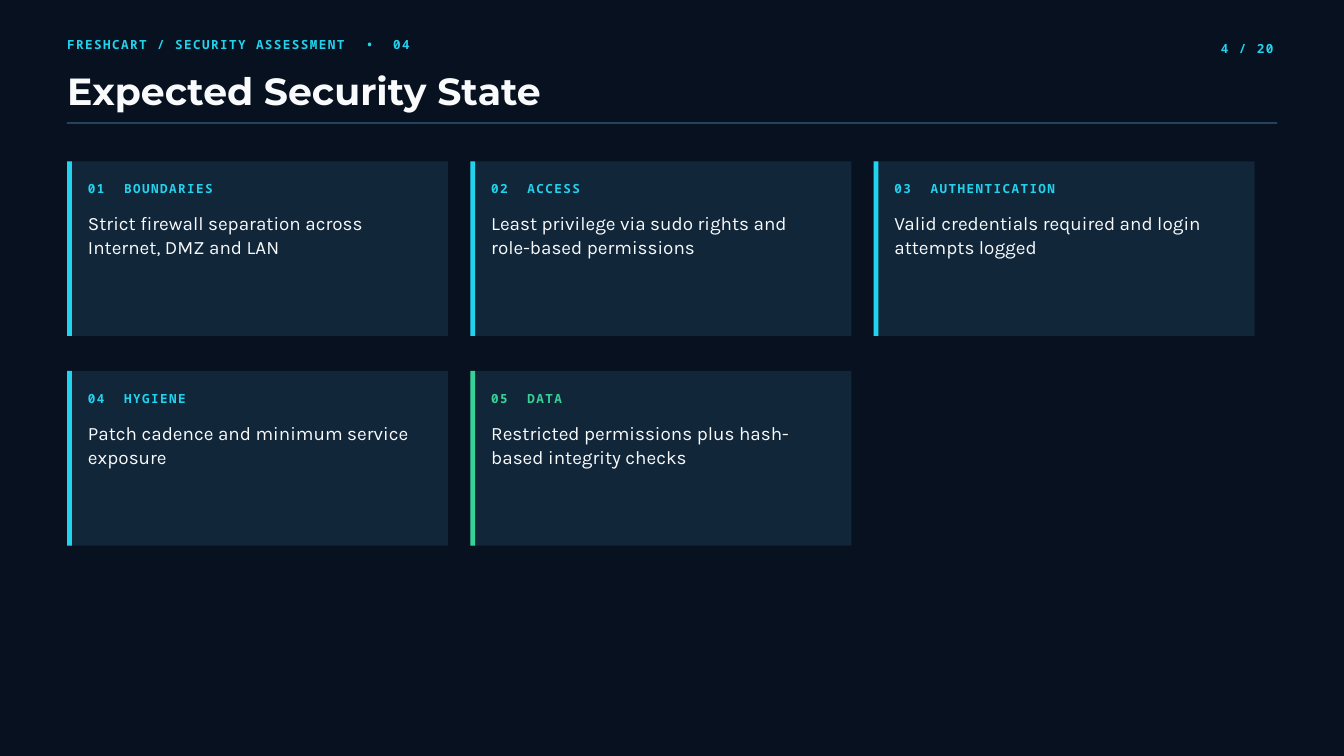
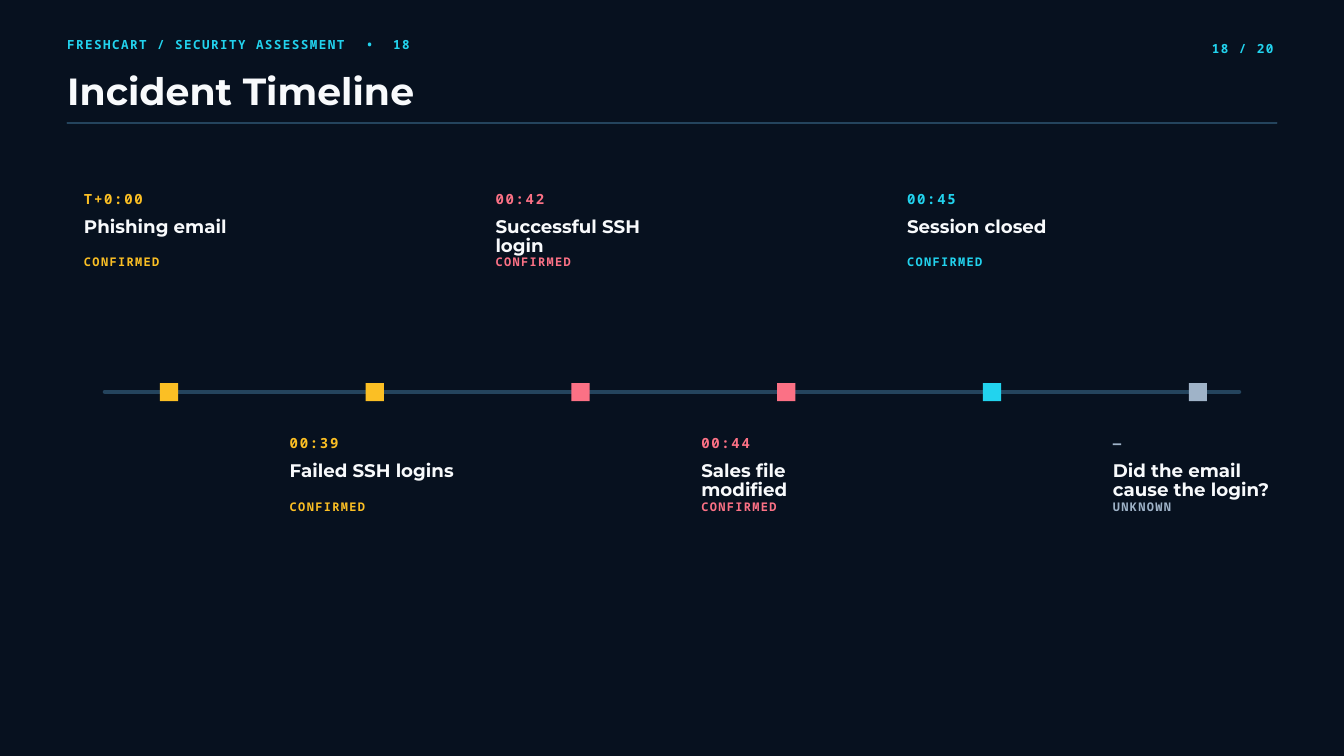
from collections import namedtuple

from lxml import etree
from pptx import Presentation
from pptx import util as u
from pptx.dml.color import RGBColor
from pptx.enum import shapes, text
from pptx.oxml.ns import qn

Style = namedtuple("Style", "font size leading bold tracking")


class Theme:
    background = "07111F"
    panel = "12263A"
    rule = "24445D"
    white = "F8FAFC"
    cyan = "22D3EE"
    green = "36D399"
    amber = "FBBF24"
    red = "FB7185"
    grey = "9FB3C8"
    title = Style("Montserrat", 40.5, 42.5, True, 0)
    label = Style("Noto Sans Mono", 13.5, 18.9, True, 1.6)
    body = Style("Karla", 20.25, 26.3, False, 0)
    time = Style("Noto Sans Mono", 15, 21, True, 1.8)
    event = Style("Montserrat", 19.5, 20.5, True, 0)
    status = Style("Noto Sans Mono", 12.75, 17.8, True, 1.5)


LABEL_CHARACTER = 0.6 * Theme.label.size + Theme.label.tracking  # points per letter


def write(shape, content, style, color, align=text.PP_ALIGN.LEFT, tabs=()):
    """Fill a text shape with one styled run; tabs are counted in label letters."""
    frame = shape.text_frame
    frame.margin_left = frame.margin_right = frame.margin_top = frame.margin_bottom = 0
    frame.word_wrap = True
    frame.auto_size = text.MSO_AUTO_SIZE.SHAPE_TO_FIT_TEXT
    frame.vertical_anchor = text.MSO_ANCHOR.TOP
    paragraph = frame.paragraphs[0]
    if tabs:
        tab_list = etree.SubElement(paragraph._p.get_or_add_pPr(), qn("a:tabLst"))
        for letters in tabs:
            position = u.Pt(letters * LABEL_CHARACTER)
            etree.SubElement(tab_list, qn("a:tab"), pos=str(position), algn="l")
    paragraph.alignment = align
    paragraph.line_spacing = u.Pt(style.leading)
    run = paragraph.add_run()
    run.text = content
    run.font.name = style.font
    run.font.size = u.Pt(style.size)
    run.font.bold = style.bold
    run.font.color.rgb = RGBColor.from_string(color)
    if style.tracking:
        run._r.get_or_add_rPr().set("spc", str(round(style.tracking * 100)))


def add_block(parent, left, top, width, height, color):
    box = map(u.Inches, (left, top, width, height))
    block = parent.shapes.add_shape(shapes.MSO_SHAPE.RECTANGLE, *box)
    block.shadow.inherit = False
    block.fill.solid()
    block.fill.fore_color.rgb = RGBColor.from_string(color)
    block.line.fill.background()


presentation = Presentation()
presentation.slide_width = u.Inches(20)
presentation.slide_height = u.Inches(11.25)
background = presentation.slide_master.background.fill
background.solid()
background.fore_color.rgb = RGBColor.from_string(Theme.background)

# Header of every slide
slides = []
for number, heading in [(4, "Expected Security State"), (18, "Incident Timeline")]:
    slide = presentation.slides.add_slide(presentation.slide_layouts[5])
    slides.append(slide)
    title = slide.shapes.title
    title.left, title.top = u.Inches(1), u.Inches(1.09)
    title.width, title.height = u.Inches(15.62), u.Inches(0.59)
    write(title, heading, Theme.title, Theme.white)

    section = slide.shapes.add_textbox(*map(u.Inches, (1, 0.51, 9.38, 0.25)))
    write(section, f"FRESHCART / SECURITY ASSESSMENT\t•\t{number:02}",
          Theme.label, Theme.cyan, tabs=(33, 36))
    counter = slide.shapes.add_textbox(*map(u.Inches, (17.6, 0.57, 1.35, 0.25)))
    write(counter, f"{number} / 20", Theme.label, Theme.cyan, text.PP_ALIGN.RIGHT)

# Header rules and the timeline axis
state_slide, timeline_slide = slides
lines = [
    (state_slide, 1, 19, 1.83, 1.5),
    (timeline_slide, 1, 19, 1.83, 1.5),
    (timeline_slide, 1.56, 18.44, 5.83, 4.5),
]
for slide, start, end, y, weight in lines:
    connector = slide.shapes.add_connector(
        shapes.MSO_CONNECTOR.STRAIGHT, *map(u.Inches, (start, y, end, y)))
    connector.line.color.rgb = RGBColor.from_string(Theme.rule)
    connector.line.width = u.Pt(weight)
    properties = connector.element.spPr
    properties.find(qn("a:ln")).set("cap", "rnd")
    etree.SubElement(properties, qn("a:effectLst"))

# Expected state: cards, three to a row
cards = [
    ("BOUNDARIES", "Strict firewall separation across Internet, DMZ and LAN", Theme.cyan),
    ("ACCESS", "Least privilege via sudo rights and role-based permissions", Theme.cyan),
    ("AUTHENTICATION", "Valid credentials required and login attempts logged", Theme.cyan),
    ("HYGIENE", "Patch cadence and minimum service exposure", Theme.cyan),
    ("DATA", "Restricted permissions plus hash-based integrity checks", Theme.green),
]
for index, (name, description, accent) in enumerate(cards):
    row, column = divmod(index, 3)
    left, top = 1 + 6 * column, 2.4 + 3.12 * row
    card = state_slide.shapes.add_group_shape()
    add_block(card, left, top, 5.67, 2.6, Theme.panel)
    add_block(card, left, top, 0.07, 2.6, accent)
    label = card.shapes.add_textbox(*map(u.Inches, (left + 0.31, top + 0.26, 5.04, 0.25)))
    write(label, f"{index + 1:02}\t{name}", Theme.label, accent, tabs=(4,))
    body = card.shapes.add_textbox(*map(u.Inches, (left + 0.31, top + 0.72, 5.04, 0.72)))
    write(body, description, Theme.body, Theme.white)

# Timeline: events alternate above and below the axis
events = [
    ("T+0:00", "Phishing email", "CONFIRMED", Theme.amber),
    ("00:39", "Failed SSH logins", "CONFIRMED", Theme.amber),
    ("00:42", "Successful SSH login", "CONFIRMED", Theme.red),
    ("00:44", "Sales file modified", "CONFIRMED", Theme.red),
    ("00:45", "Session closed", "CONFIRMED", Theme.cyan),
    ("—", "Did the email cause the login?", "UNKNOWN", Theme.grey),
]
event_step = (16.56 - 1.25) / (len(events) - 1)
for index, (moment, happening, status, color) in enumerate(events):
    left = 1.25 + event_step * index
    top = 6.43 if index % 2 else 2.79
    event = timeline_slide.shapes.add_group_shape()
    entries = [
        (0, 0.27, moment, Theme.time, color),
        (0.45, 0.31, happening, Theme.event, Theme.white),
        (0.97, 0.22, status, Theme.status, color),
    ]
    for offset, height, content, style, text_color in entries:
        box = event.shapes.add_textbox(*map(u.Inches, (left, top + offset, 2.6, height)))
        write(box, content, style, text_color)
    add_block(timeline_slide, left + 1.13, 5.7, 0.27, 0.27, color)

presentation.save("out.pptx")
